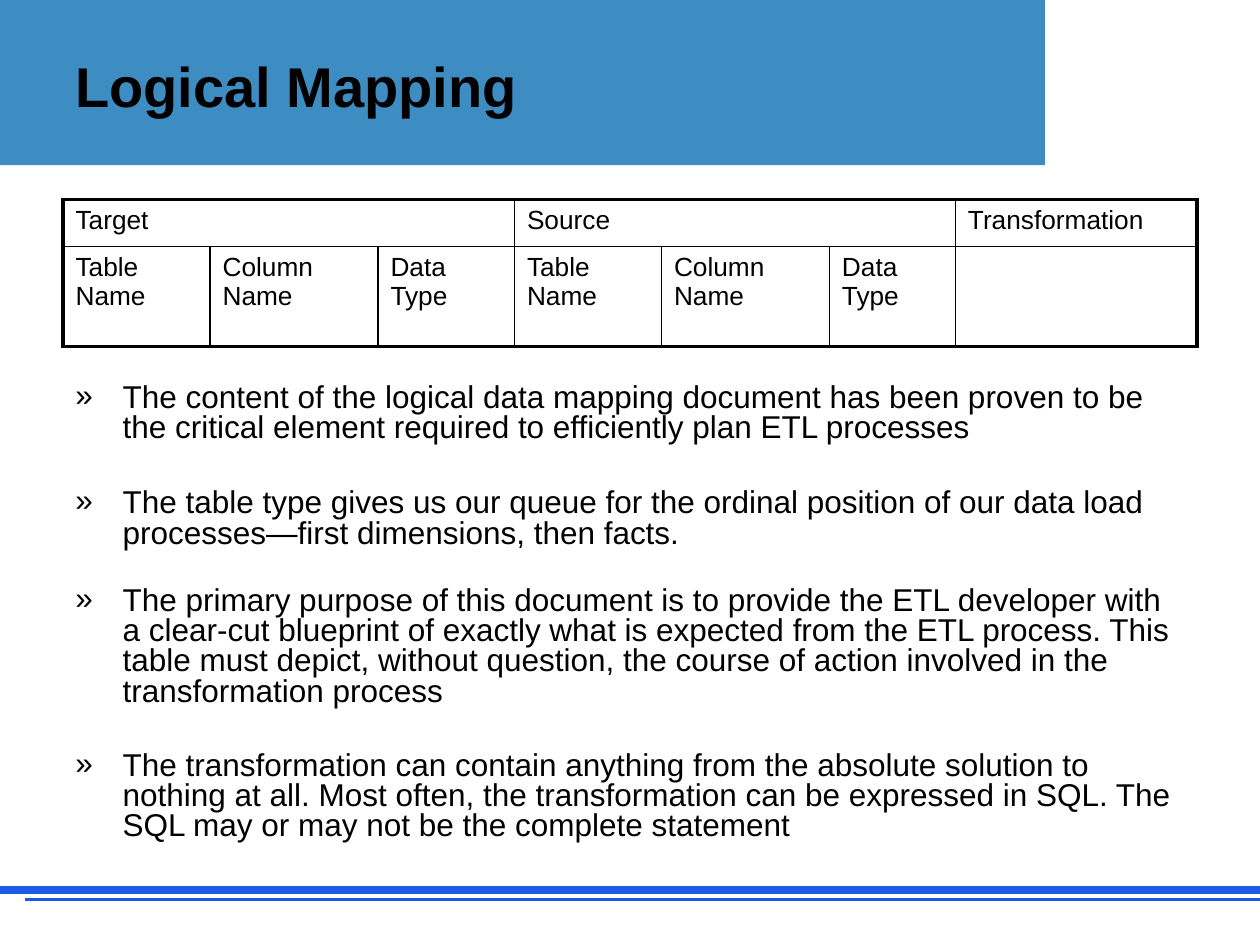
"""Build the Logical Mapping slide."""
from lxml.etree import SubElement as Sub
from pptx import Presentation
from pptx.dml.color import RGBColor
from pptx.enum.shapes import MSO_CONNECTOR as Conn, MSO_SHAPE as Form
from pptx.enum.text import MSO_ANCHOR as Anchor
from pptx.oxml import parse_xml
from pptx.oxml.ns import nsdecls, qn
from pptx.util import Pt

BLACK = RGBColor(0, 0, 0)
WHITE = RGBColor(255, 255, 255)
BAND = RGBColor(0x3D, 0x8D, 0xC3)
RULE = RGBColor(0x1E, 0x5B, 0xE2)

TITLE = "Logical Mapping"
GROUPS = [("Target", 3), ("Source", 3), ("Transformation", 1)]
FIELDS = ["Table Name", "Column Name", "Data Type"] * 2 + [""]
WIDTHS = [84, 96, 78, 84, 96, 72, 138]
HEIGHTS = [27, 57]
POINTS = [
    ("The content of the logical data mapping document has been proven to be the critical element required to efficiently plan ETL processes", 0),
    ("The table type gives us our queue for the ordinal position of our data load processes—first dimensions, then facts.", 25.7),
    ("The primary purpose of this document is to provide the ETL developer with a clear-cut blueprint of exactly what is expected from the ETL process. This table must depict, without question, the course of action involved in the transformation process", 21.1),
    ("The transformation can contain anything from the absolute solution to nothing at all. Most often, the transformation can be expressed in SQL. The SQL may or may not be the complete statement", 25.1),
]
RULES = [(0, 508.5, 4.5), (14.4, 514, 2.25)]
BLOCKS = [(0, 0, 720, 94.4, BAND), (598.4, 0, 121.6, 100, WHITE)]


def write(para, text, size, bold=False, before=0, lines=None, mark=None):
    if before:
        para.space_before = Pt(before)
    if lines:
        para.line_spacing = lines
    if mark:
        props = para._p.get_or_add_pPr()
        props.set("marL", str(Pt(27)))
        props.set("indent", str(Pt(-27)))
        Sub(props, qn("a:buFont")).set("typeface", "Arial")
        Sub(props, qn("a:buChar")).set("char", mark)
    run = para.add_run()
    run.text = text
    font = run.font
    font.name, font.size, font.bold = "Arial", Pt(size), bold
    font.color.rgb = BLACK


def frame(slide, left, top, width, height, anchor):
    box = slide.shapes.add_textbox(Pt(left), Pt(top), Pt(width), Pt(height))
    text = box.text_frame
    text.word_wrap = True
    text.vertical_anchor = anchor
    return text


def edge(cell, sides):
    cell.fill.background()
    props = cell._tc.get_or_add_tcPr()
    for spot, (side, width) in enumerate(sides.items()):
        props.insert(spot, parse_xml(
            f'<a:ln{side} {nsdecls("a")} w="{Pt(width)}"><a:solidFill>'
            f'<a:srgbClr val="{BLACK}"/></a:solidFill></a:ln{side}>'))


def add_grid(slide):
    rows, cols = len(HEIGHTS), len(WIDTHS)
    grid = slide.shapes.add_table(rows, cols, Pt(36), Pt(114), Pt(sum(WIDTHS)), Pt(sum(HEIGHTS))).table
    grid.first_row = grid.horz_banding = False
    for col, width in zip(grid.columns, WIDTHS):
        col.width = Pt(width)
    for row, height in zip(grid.rows, HEIGHTS):
        row.height = Pt(height)
    for r in range(rows):
        for c in range(cols):
            outer = {"L": c == 0, "R": c == cols - 1, "T": r == 0, "B": r == rows - 1}
            edge(grid.cell(r, c), {side: 2.25 if out else 1 for side, out in outer.items()})
    start = 0
    for name, span in GROUPS:
        cell = grid.cell(0, start)
        if span > 1:
            cell.merge(grid.cell(0, start + span - 1))
        write(cell.text_frame.paragraphs[0], name, 15)
        start += span
    for c, name in enumerate(FIELDS):
        if name:
            write(grid.cell(1, c).text_frame.paragraphs[0], name, 15)


def main():
    deck = Presentation()
    deck.slide_width, deck.slide_height = Pt(720), Pt(540)
    slide = deck.slides.add_slide(deck.slide_layouts[6])

    for *place, color in BLOCKS:
        block = slide.shapes.add_shape(Form.RECTANGLE, *map(Pt, place))
        block.shadow.inherit = False
        block.fill.solid()
        block.fill.fore_color.rgb = color
        if color == WHITE:
            block.line.color.rgb = color
            block.line.width = Pt(2)
        else:
            block.line.fill.background()

    for left, top, width in RULES:
        rule = slide.shapes.add_connector(Conn.STRAIGHT, Pt(left), Pt(top), Pt(720), Pt(top))
        rule.line.color.rgb = RULE
        rule.line.width = Pt(width)
        Sub(rule._element.spPr, qn("a:effectLst"))

    body = frame(slide, 36, 216, 648, 270, Anchor.TOP)
    for i, (text, gap) in enumerate(POINTS):
        para = body.add_paragraph() if i else body.paragraphs[0]
        write(para, text, 18, before=gap, lines=0.8, mark="»")

    add_grid(slide)
    title = frame(slide, 36, 9.4, 494, 78, Anchor.MIDDLE)
    write(title.paragraphs[0], TITLE, 32, bold=True)
    deck.save("out.pptx")


if __name__ == "__main__":
    main()
